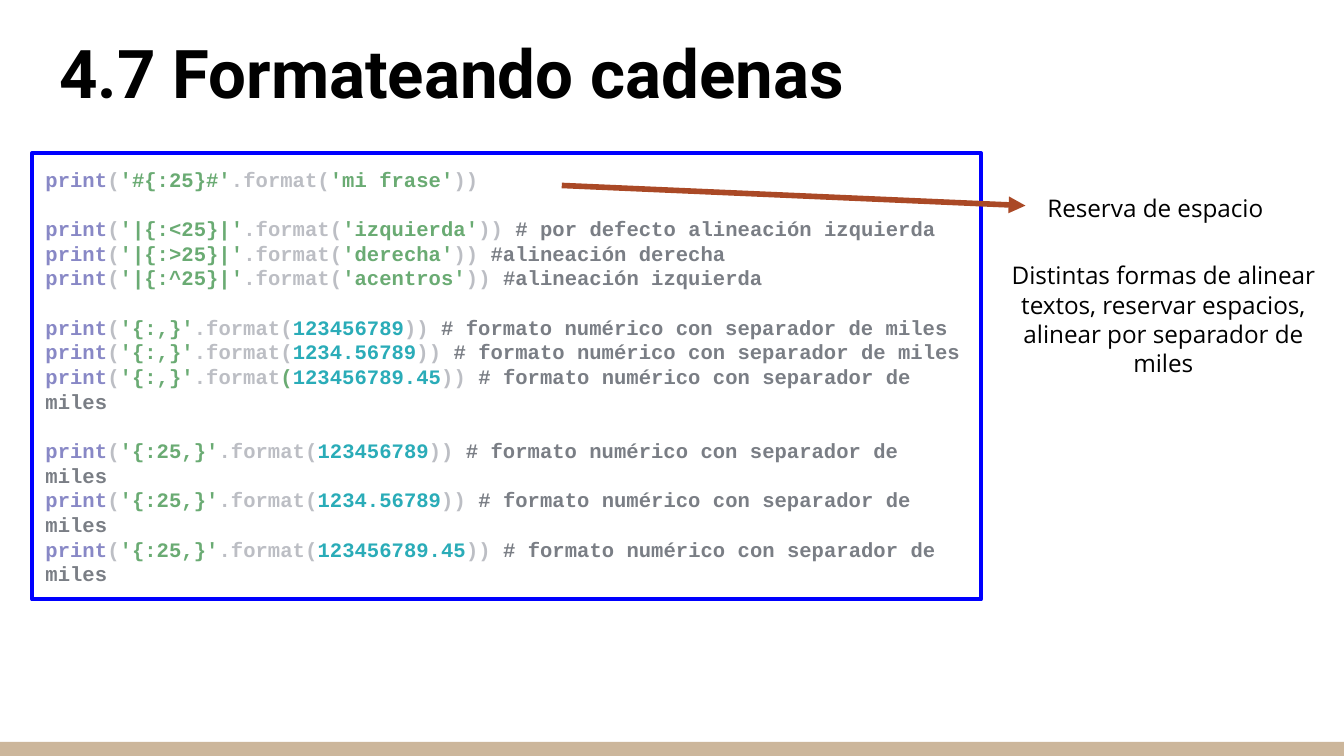
import pptx
import pptx.dml.color
import pptx.enum.shapes
import pptx.enum.text
import pptx.oxml.ns
import pptx.util
from lxml import etree

Inches = pptx.util.Inches
Pt = pptx.util.Pt
RGB = pptx.dml.color.RGBColor
ALIGN = pptx.enum.text.PP_ALIGN
ANCHOR = pptx.enum.text.MSO_ANCHOR
FIT = pptx.enum.text.MSO_AUTO_SIZE
RECT = pptx.enum.shapes.MSO_SHAPE.RECTANGLE
LINE = pptx.enum.shapes.MSO_CONNECTOR.STRAIGHT

BLACK = RGB(0x00, 0x00, 0x00)
WHITE = RGB(0xFF, 0xFF, 0xFF)
BLUE = RGB(0x00, 0x00, 0xFF)
TAN = RGB(0xCC, 0xB6, 0x9B)
RUST = RGB(0xAA, 0x49, 0x26)
CALL = RGB(0x88, 0x88, 0xC6)
PLAIN = RGB(0xBC, 0xBE, 0xC4)
QUOTE = RGB(0x6A, 0xAB, 0x73)
DIGIT = RGB(0x2A, 0xAC, 0xB8)
NOTE = RGB(0x7A, 0x7E, 0x85)

LEAD = 1.2
CODE = 11
MILES = "# formato numérico con separador de miles"
NUMS = ("123456789", "1234.56789", "123456789.45")
GROUPS = [
    [("'#{:25}#'", "'mi frase'", "")],
    [
        ("'|{:<25}|'", "'izquierda'", "# por defecto alineación izquierda"),
        ("'|{:>25}|'", "'derecha'", "#alineación derecha"),
        ("'|{:^25}|'", "'acentros'", "#alineación izquierda"),
    ],
    [("'{:,}'", num, MILES) for num in NUMS],
    [("'{:25,}'", num, MILES) for num in NUMS],
]
GREEN = ("'{:,}'", NUMS[-1])


def put(para, text, font, size, color=BLACK, bold=False):
    """Add a formatted run to a paragraph."""
    run = para.add_run()
    run.text = text
    run.font.name = font
    run.font.size = Pt(size)
    run.font.bold = bold
    run.font.color.rgb = color


def place(shape, box):
    """Move a shape to a box of left, top, width and height in inches."""
    shape.left, shape.top, shape.width, shape.height = map(Inches, box)


def frame(shape, anchor=ANCHOR.TOP, fit=FIT.NONE):
    """Set up the text frame of a shape and return it."""
    text = shape.text_frame
    text.word_wrap = True
    text.auto_size = fit
    text.vertical_anchor = anchor
    text.margin_left = text.margin_right = Inches(0.1)
    text.margin_top = text.margin_bottom = Inches(0.1)
    return text


def block(slide, box, fill):
    """Add a plain filled rectangle without an outline."""
    shape = slide.shapes.add_shape(RECT, *map(Inches, box))
    shape.shadow.inherit = False
    shape.fill.solid()
    shape.fill.fore_color.rgb = fill
    shape.line.fill.background()
    return shape


def head(slide, box):
    """Fill the title placeholder."""
    title = slide.shapes.title
    place(title, box)
    para = frame(title, ANCHOR.BOTTOM).paragraphs[0]
    para.alignment = ALIGN.LEFT
    put(para, "4.7 Formateando cadenas", "Roboto", 36, bold=True)


def row(para, mask, value, note):
    """Write one coloured line of code."""
    tint = QUOTE if value.startswith("'") else DIGIT
    tail = [(")) ", PLAIN), (note, NOTE)] if note else [("))", PLAIN)]
    if (mask, value) == GREEN:
        call = [(".format", PLAIN), ("(", QUOTE)]
    else:
        call = [(".format(", PLAIN)]
    lead = [("print", CALL), ("(", PLAIN), (mask, QUOTE)]
    for text, color in lead + call + [(value, tint)] + tail:
        put(para, text, "Courier New", CODE, color, bold=True)


def code(slide, box):
    """Add the framed listing, with a gap of one line between groups."""
    shape = block(slide, box, WHITE)
    shape.line.color.rgb = BLUE
    shape.line.width = Pt(2.25)
    text = frame(shape, fit=FIT.SHAPE_TO_FIT_TEXT)
    para = None
    for group in GROUPS:
        for spot, item in enumerate(group):
            gap = para is not None and spot == 0
            para = text.paragraphs[0] if para is None else text.add_paragraph()
            para.alignment = ALIGN.LEFT
            para.line_spacing = Pt(LEAD * CODE)
            if gap:
                para.space_before = Pt(LEAD * CODE)
            row(para, *item)


def note(slide, box, text, size=13):
    """Add a centred remark beside the listing."""
    shape = slide.shapes.add_textbox(*map(Inches, box))
    para = frame(shape).paragraphs[0]
    para.alignment = ALIGN.CENTER
    para.line_spacing = Pt(LEAD * size)
    put(para, text, "Open Sans", size)


def arrow(slide, start, end):
    """Draw an arrow between two points in inches."""
    line = slide.shapes.add_connector(LINE, *map(Inches, start + end))
    line.line.color.rgb = RUST
    line.line.width = Pt(3)
    qn = pptx.oxml.ns.qn
    etree.SubElement(line.line._get_or_add_ln(), qn("a:tailEnd"), type="triangle")
    etree.SubElement(line._element.spPr, qn("a:effectLst"))


def main():
    """Build and save the slide."""
    deck = pptx.Presentation()
    deck.slide_width = Inches(10)
    deck.slide_height = Inches(10 * 9 / 16)
    slide = deck.slides.add_slide(deck.slide_layouts[5])
    block(slide, (0, 5.52, 10, 0.11), TAN)
    head(slide, (0.34, 0.35, 9.32, 0.58))
    code(slide, (0.24, 1.14, 7.06, 3.32))
    note(slide, (7.29, 1.34, 2.61, 0.33), "Reserva de espacio")
    arrow(slide, (4.18, 1.38), (7.63, 1.53))
    note(
        slide,
        (7.35, 1.84, 2.61, 0.33),
        "Distintas formas de alinear textos, reservar espacios, "
        "alinear por separador de miles",
    )
    deck.save("out.pptx")


if __name__ == "__main__":
    main()
